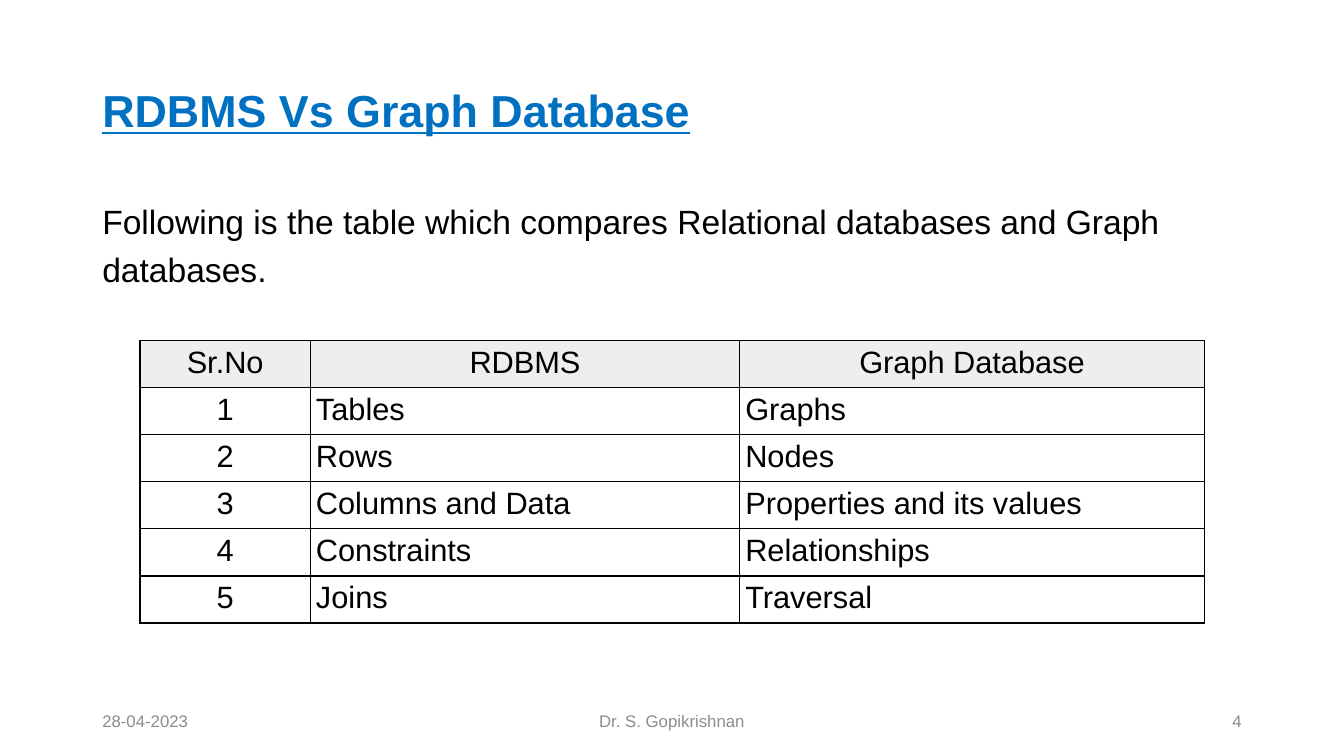
from pptx import Presentation
from pptx.dml.color import RGBColor
from pptx.enum.text import MSO_ANCHOR as Anchor, PP_ALIGN as Align
from pptx.oxml import parse_xml
from pptx.oxml.ns import nsdecls
from pptx.util import Pt

BLUE = RGBColor(0x00, 0x70, 0xC0)
BLACK = RGBColor(0x00, 0x00, 0x00)
GREY = RGBColor(0x8C, 0x8C, 0x8C)
HEADER_FILL = RGBColor(0xEE, 0xEE, 0xEE)

ROWS = [
    ("Sr.No", "RDBMS", "Graph Database"),
    ("1", "Tables", "Graphs"),
    ("2", "Rows", "Nodes"),
    ("3", "Columns and Data", "Properties and its values"),
    ("4", "Constraints", "Relationships"),
    ("5", "Joins", "Traversal"),
]
COLUMN_WIDTHS = [121.7, 306.7, 331.9]
ROW_HEIGHT = 32.6


def add_run(p, text, size, color, align=Align.LEFT):
    p.alignment = align
    r = p.add_run()
    r.text = text
    r.font.name = "Arial"
    r.font.size = Pt(size)
    r.font.color.rgb = color
    return r


def add_text(s, box, text, size, color, align=Align.LEFT, anchor=Anchor.MIDDLE):
    """Add a wrapping one-paragraph text box and return its paragraph."""
    tf = s.shapes.add_textbox(*[Pt(v) for v in box]).text_frame
    tf.word_wrap = True
    tf.vertical_anchor = anchor
    p = tf.paragraphs[0]
    add_run(p, text, size, color, align)
    return p


prs = Presentation()
prs.slide_width, prs.slide_height = Pt(960), Pt(540)
s = prs.slides.add_slide(prs.slide_layouts[6])

# Title and introduction
title = add_text(s, (66, 28.8, 828, 104.4), "RDBMS Vs Graph Database", 32, BLUE)
title.line_spacing = 0.9
title.runs[0].font.bold = True
title.runs[0].font.underline = True

intro = add_text(
    s, (66, 134, 828, 353.5),
    "Following is the table which compares Relational databases and Graph databases.",
    24, BLACK, anchor=Anchor.TOP)
intro.line_spacing = 1.2
intro.space_after = Pt(6)

# Footer
for left, width, text, align in [
    (66, 216, "28-04-2023", Align.LEFT),
    (318, 324, "Dr. S. Gopikrishnan", Align.CENTER),
    (678, 216, "4", Align.RIGHT),
]:
    add_text(s, (left, 500.5, width, 28.75), text, 12, GREY, align)

# Comparison table
table = s.shapes.add_table(
    len(ROWS), len(COLUMN_WIDTHS), Pt(100), Pt(243.3),
    Pt(sum(COLUMN_WIDTHS)), Pt(ROW_HEIGHT * len(ROWS))).table
table.first_row = table.horz_banding = False
for column, width in zip(table.columns, COLUMN_WIDTHS):
    column.width = Pt(width)

for i, row in enumerate(ROWS):
    table.rows[i].height = Pt(ROW_HEIGHT)
    for j, text in enumerate(row):
        cell = table.cell(i, j)
        cell.margin_left = cell.margin_right = Pt(4)
        cell.margin_top = cell.margin_bottom = Pt(3.6)
        centred = i == 0 or j == 0
        add_run(cell.text_frame.paragraphs[0], text, 22, BLACK,
                Align.CENTER if centred else Align.LEFT)
        tcPr = cell._tc.get_or_add_tcPr()
        for side in ("lnL", "lnR", "lnT", "lnB"):
            tcPr.append(parse_xml(
                f'<a:{side} {nsdecls("a")} w="{Pt(1)}"><a:solidFill>'
                f'<a:srgbClr val="{BLACK}"/></a:solidFill></a:{side}>'))
        if i == 0:
            cell.fill.solid()
            cell.fill.fore_color.rgb = HEADER_FILL
        else:
            cell.fill.background()

prs.save("out.pptx")
